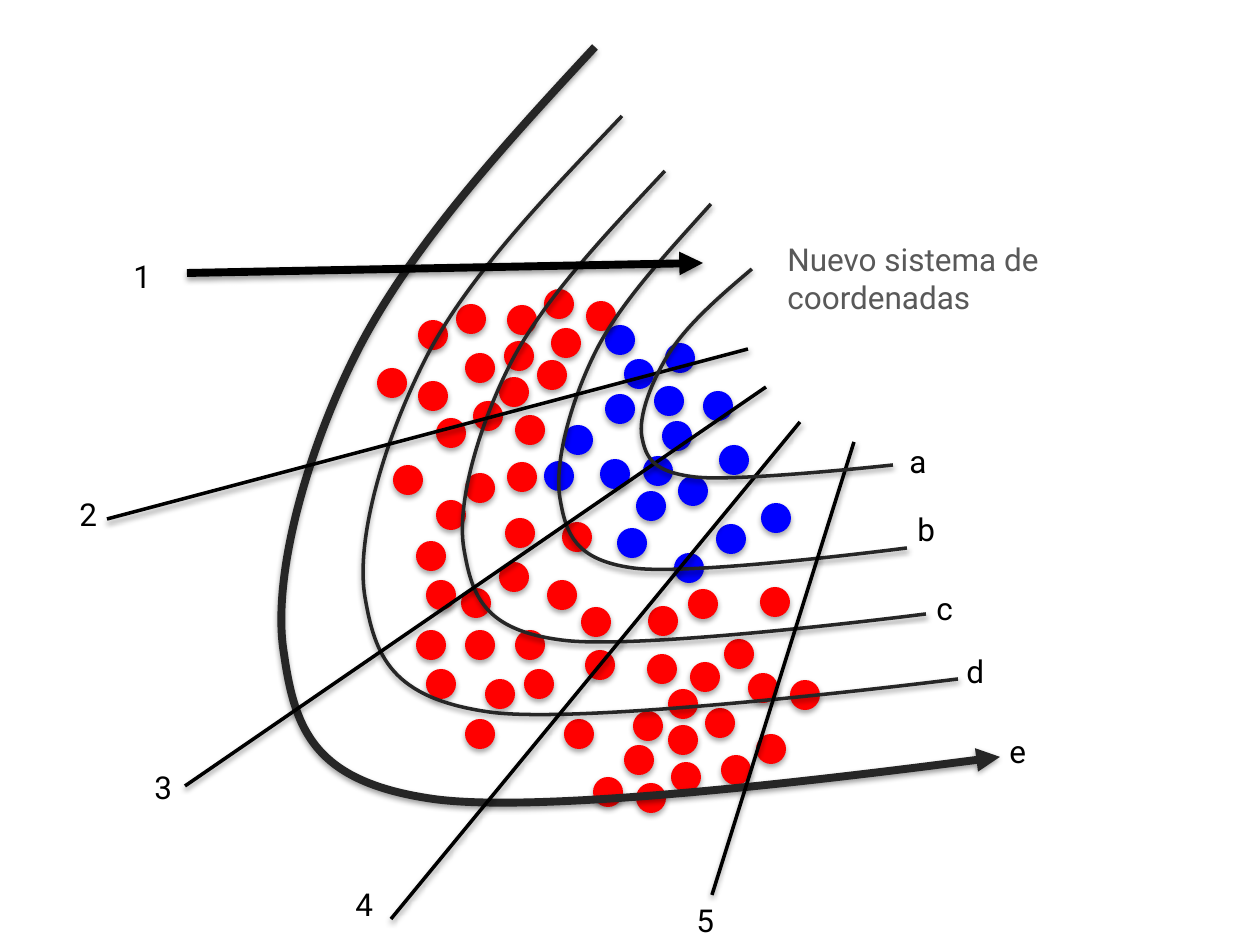
from math import cos, radians, sin

from lxml import etree
from pptx import Presentation
from pptx.dml.color import RGBColor
from pptx.enum.shapes import MSO_CONNECTOR, MSO_SHAPE
from pptx.oxml import parse_xml
from pptx.oxml.ns import nsdecls, qn
from pptx.util import Emu, Pt

PX = 914400 // 126
DOT = 30
RED, BLUE, BLACK, DARK, GRAY = "FF0000", "0000FF", "000000", "262626", "595959"

# Left and top of each dot
LEFT_DOTS = [
    (436, 500), (426, 580), (416, 541), (461, 588), (465, 630), (562, 522),
    (547, 580), (524, 669), (515, 630), (581, 607), (564, 719), (585, 650),
    (505, 518), (426, 669), (416, 630), (499, 562), (465, 719), (485, 679)]
CORE_DOTS = [
    (665, 343), (605, 394), (624, 359), (703, 391), (600, 459), (662, 421),
    (678, 476), (617, 528), (636, 491), (716, 524), (719, 445), (674, 553),
    (654, 386), (544, 461), (563, 425), (643, 456), (761, 503), (605, 325)]
UPPER_DOTS = [
    (586, 301), (507, 305), (544, 289), (504, 341), (465, 353), (537, 360),
    (515, 415), (436, 418), (473, 401), (507, 462), (393, 465), (465, 473),
    (551, 328), (418, 320), (456, 304), (499, 377), (377, 368), (418, 381)]

# Start point, then three points for each Bezier segment
CURVE_A = [(752, 269), (720, 296), (688, 324), (670, 352), (652, 380), (638, 416),
           (642, 437), (646, 458), (653, 472), (695, 477), (737, 482), (893, 465), (893, 465)]
CURVE_B = [(711, 204), (667, 253), (622, 301), (597, 349), (572, 398), (554, 461),
           (560, 498), (566, 534), (575, 560), (633, 568), (691, 576), (907, 548), (907, 548)]
CURVE_C = [(665, 171), (606, 234), (547, 296), (513, 359), (480, 422), (456, 503),
           (464, 549), (472, 596), (484, 630), (561, 640), (638, 651), (926, 614), (926, 614)]
CURVE_D = [(622, 116), (547, 195), (471, 273), (428, 354), (386, 435), (355, 537),
           (365, 597), (375, 656), (391, 698), (489, 712), (587, 726), (958, 679), (958, 679)]
CURVE_E = [(595, 47), (503, 146), (412, 246), (359, 348), (307, 449), (271, 578),
           (284, 654), (295, 730), (314, 782), (433, 799), (553, 816), (1000, 757), (1000, 757)]

AXES = [((766, 387), (185, 786)), ((748, 349), (107, 519)),
        ((800, 422), (391, 919)), ((854, 442), (712, 895))]
LABELS = [("1", 121, 251), ("2", 67, 489), ("3", 142, 762), ("4", 343, 879),
          ("5", 684, 895), ("a", 897, 436), ("b", 905, 504), ("c", 924, 583),
          ("d", 954, 646), ("e", 997, 726)]


def px(*values):
    return [Emu(v * PX) for v in values]


def rgb(code):
    return RGBColor.from_string(code)


def add_shadow(sp, distance, alpha):
    """Give the shape a soft black shadow straight below it."""
    props = sp._element.spPr
    for old in props.findall(qn("a:effectLst")):
        props.remove(old)
    props.append(parse_xml(
        f'<a:effectLst {nsdecls("a")}><a:outerShdw blurRad="40000" dist="{distance}" '
        f'dir="5400000" rotWithShape="0"><a:srgbClr val="{BLACK}">'
        f'<a:alpha val="{alpha}000"/></a:srgbClr></a:outerShdw></a:effectLst>'))


def style_line(sp, color, width, arrow=None):
    """Set the stroke; arrow is headEnd or tailEnd."""
    sp.line.color.rgb = rgb(color)
    sp.line.width = Pt(width)
    if arrow:
        etree.SubElement(sp.line._get_or_add_ln(), qn(f"a:{arrow}"), type="triangle")
    add_shadow(sp, 20000, 38)


def turn(dots, start, degrees):
    """Rotate the dots about the first one and move that one to start."""
    c, s = cos(radians(degrees)), sin(radians(degrees))
    x0, y0 = dots[0]
    return [(round(start[0] + (x - x0) * c - (y - y0) * s),
             round(start[1] + (x - x0) * s + (y - y0) * c)) for x, y in dots]


def add_dots(slide, dots, color):
    group = slide.shapes.add_group_shape()
    for x, y in dots:
        sp = group.shapes.add_shape(MSO_SHAPE.OVAL, *px(x, y, DOT, DOT))
        sp.fill.solid()
        sp.fill.fore_color.rgb = rgb(color)
        sp.line.fill.background()
        add_shadow(sp, 23000, 35)


def add_curve(slide, points, width=2, arrow=None):
    builder = slide.shapes.build_freeform(*points[0], scale=PX)
    builder.add_line_segments(points[1:], close=False)
    sp = builder.convert_to_shape()
    sp.fill.background()
    # Every three line ends become one cubic segment
    segments = list(sp._element.iter(qn("a:lnTo")))
    outline = segments[0].getparent()
    for i in range(0, len(segments), 3):
        cubic = etree.SubElement(outline, qn("a:cubicBezTo"))
        for segment in segments[i:i + 3]:
            cubic.append(segment[0])
            outline.remove(segment)
    style_line(sp, DARK, width, arrow)


def add_axis(slide, start, end, width=2, arrow=None):
    line = slide.shapes.add_connector(MSO_CONNECTOR.STRAIGHT, *px(*start, *end))
    style_line(line, BLACK, width, arrow)


def add_text(slide, text, x, y, width=43, color=BLACK, wrap=False):
    tf = slide.shapes.add_textbox(*px(x, y, width, 50)).text_frame
    tf.word_wrap = wrap
    p = tf.paragraphs[0]
    p.text = text
    p.font.name = "Roboto"
    p.font.size = Pt(18)
    p.font.color.rgb = rgb(color)


def main():
    prs = Presentation()
    prs.slide_width, prs.slide_height = px(1260, 945)
    slide = prs.slides.add_slide(prs.slide_layouts[6])

    add_dots(slide, LEFT_DOTS, RED)
    add_dots(slide, CORE_DOTS, BLUE)
    add_dots(slide, UPPER_DOTS, RED)
    add_dots(slide, turn(UPPER_DOTS, (593, 777), 171.6), RED)

    for curve in (CURVE_B, CURVE_C, CURVE_D):
        add_curve(slide, curve)
    add_curve(slide, CURVE_E, 4.5, "tailEnd")
    for start, end in AXES:
        add_axis(slide, start, end)
    add_axis(slide, (703, 263), (187, 273), 4.5, "headEnd")
    add_curve(slide, CURVE_A)

    for label in LABELS:
        add_text(slide, *label)
    add_text(slide, "Nuevo sistema de\vcoordenadas", 775, 234, 464, GRAY, wrap=True)
    prs.save("out.pptx")


if __name__ == "__main__":
    main()
